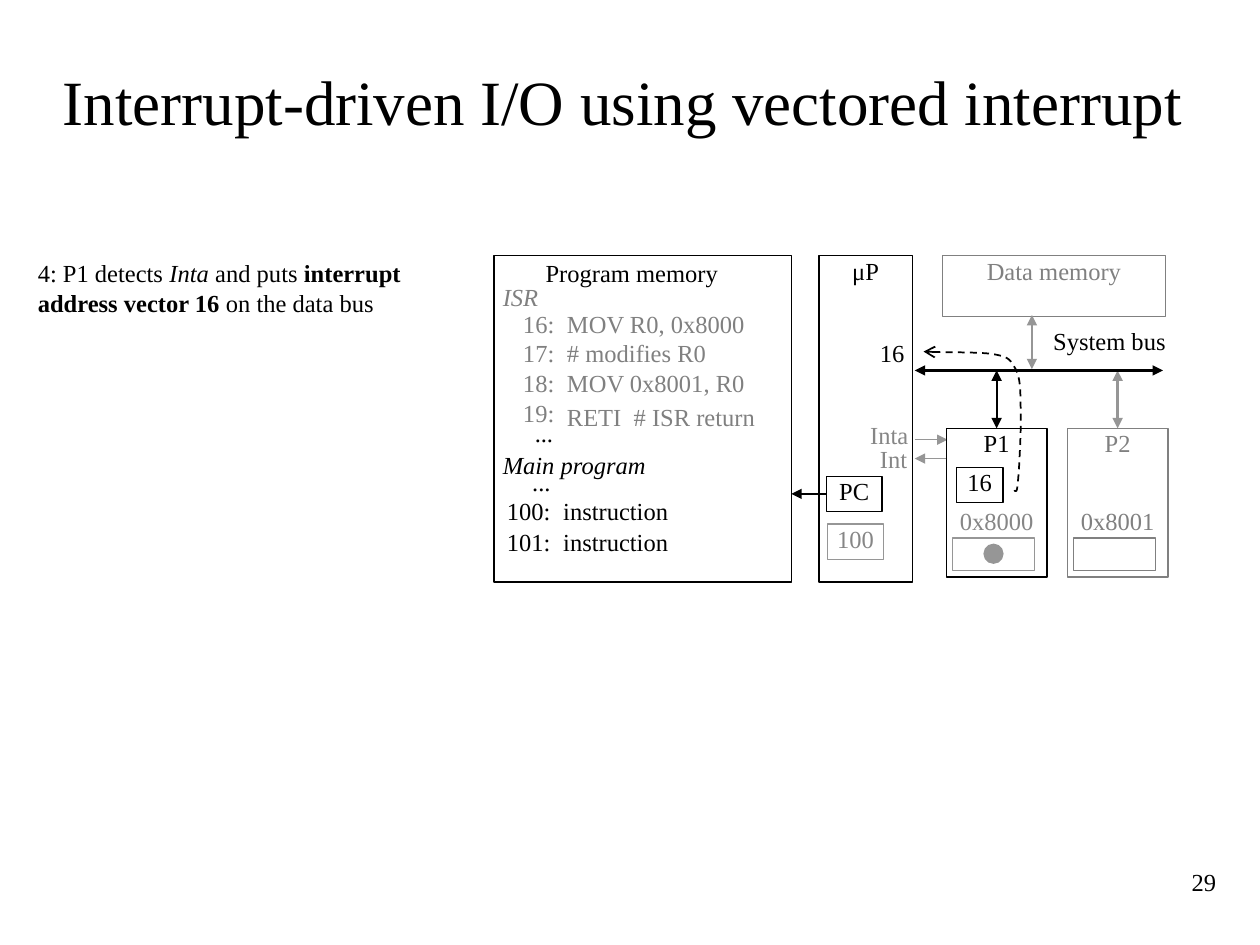
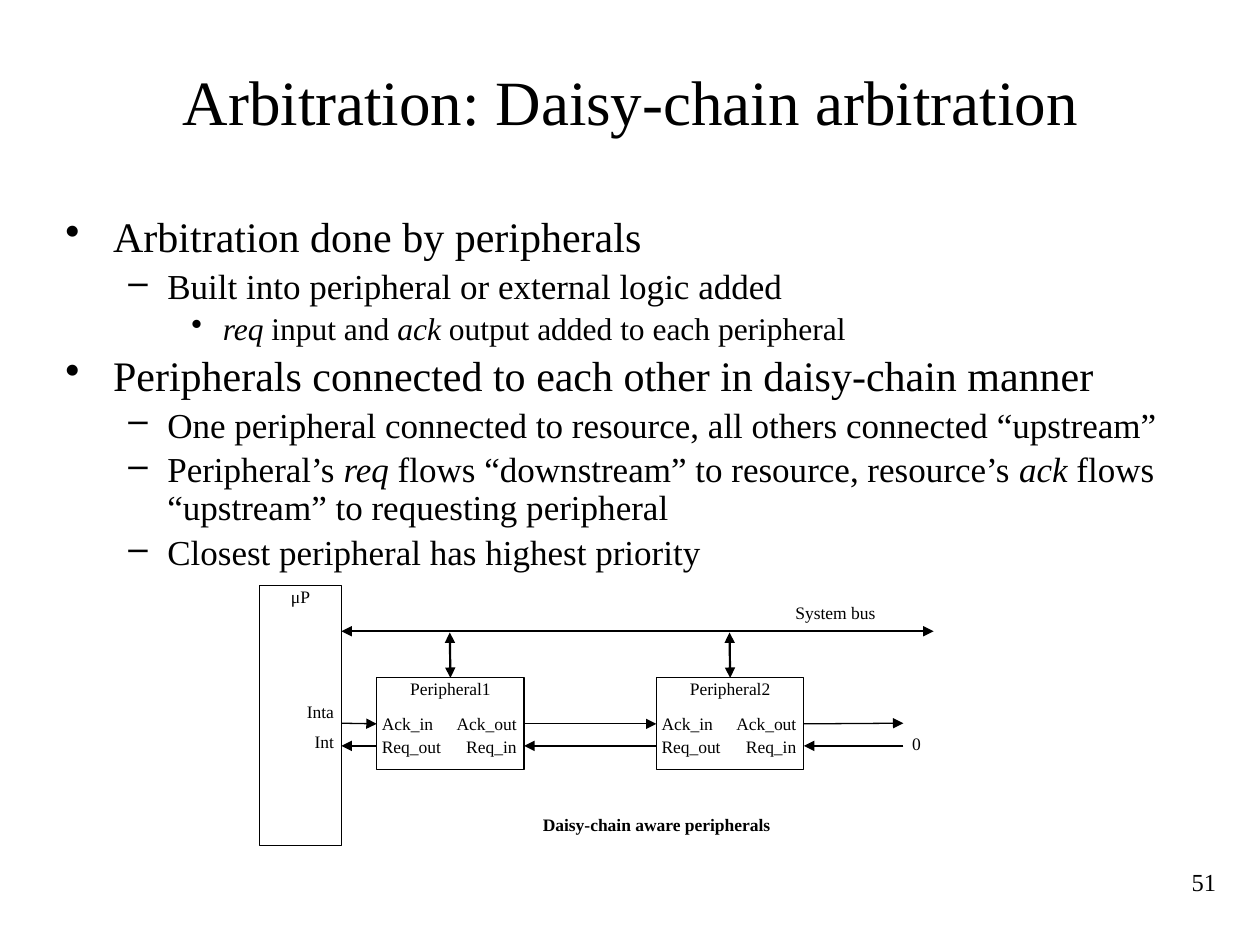
from pptx import Presentation
from pptx.dml.color import RGBColor
from pptx.enum.dml import MSO_LINE_DASH_STYLE as Dash
from pptx.enum.shapes import MSO_CONNECTOR as Link, MSO_SHAPE as Preset
from pptx.enum.text import MSO_ANCHOR as Anchor, PP_ALIGN as Align
from pptx.oxml.ns import qn
from pptx.util import Inches, Pt
from lxml.etree import SubElement

FONT = "Times New Roman"
BLACK = RGBColor(0x00, 0x00, 0x00)
WHITE = RGBColor(0xFF, 0xFF, 0xFF)
DIM = RGBColor(0x80, 0x80, 0x80)
DIM_LABEL = RGBColor(0x86, 0x86, 0x86)
DIM_LINE = RGBColor(0x96, 0x96, 0x96)
LEFT, CENTER, RIGHT = Align.LEFT, Align.CENTER, Align.RIGHT
TOP_SIDE, LEFT_SIDE, RIGHT_SIDE = 0, 1, 3
THIN, THICK = 0.75, 1.25

# Bullet, left margin, hanging indent and text size of each outline level
LEVELS = [("•", 0.38, 0.38, 24), ("–", 0.81, 0.31, 20), ("•", 1.25, 0.25, 18)]


# ---- Shared helpers ----
def add_runs(paragraph, content, size, color):
    """Content is a string or a list of (text, style), style being '', 'b' or 'i'."""
    pieces = [(content, "")] if isinstance(content, str) else content
    for text, style in pieces:
        run = paragraph.add_run()
        run.text = text
        run.font.name, run.font.size = FONT, Pt(size)
        run.font.color.rgb = color
        run.font.bold, run.font.italic = style == "b", style == "i"


def prepare_frame(frame, inset=(0, 0), anchor=Anchor.TOP):
    frame.word_wrap = True
    frame.vertical_anchor = anchor
    frame.margin_left = frame.margin_right = Inches(inset[0])
    frame.margin_top = frame.margin_bottom = Inches(inset[1])


def write(slide, content, x, y, w, h, size=14, color=BLACK, align=LEFT,
          inset=(0, 0), anchor=Anchor.TOP):
    frame = slide.shapes.add_textbox(Inches(x), Inches(y), Inches(w), Inches(h)).text_frame
    prepare_frame(frame, inset, anchor)
    frame.paragraphs[0].alignment = align
    add_runs(frame.paragraphs[0], content, size, color)


def add_box(slide, x, y, w, h, label="", size=14, color=BLACK, edge=None,
            fill=WHITE, preset=Preset.RECTANGLE):
    box = slide.shapes.add_shape(preset, Inches(x), Inches(y), Inches(w), Inches(h))
    box.shadow.inherit = False
    box.fill.solid()
    box.fill.fore_color.rgb = fill
    box.line.color.rgb = edge or color
    box.line.width = Pt(THIN)
    if label:
        prepare_frame(box.text_frame)
        box.text_frame.paragraphs[0].alignment = CENTER
        add_runs(box.text_frame.paragraphs[0], label, size, color)
    return box


def add_heads(shape, tail="triangle", head=None):
    line = shape.element.spPr.find(qn("a:ln"))
    for tag, kind in (("a:headEnd", head), ("a:tailEnd", tail)):
        if kind:
            SubElement(line, qn(tag)).set("type", kind)


def add_arrow(slide, start, end, color=BLACK, width=THIN, both=False,
              begin_at=None, end_at=None):
    """begin_at and end_at are (box, side) pairs to join."""
    arrow = slide.shapes.add_connector(Link.STRAIGHT, *map(Inches, (*start, *end)))
    arrow.line.color.rgb = color
    arrow.line.width = Pt(width)
    add_heads(arrow, head="triangle" if both else None)
    SubElement(arrow.element.spPr, qn("a:effectLst"))
    if begin_at:
        arrow.begin_connect(*begin_at)
    if end_at:
        arrow.end_connect(*end_at)


def start_slide(deck, title, number):
    slide = deck.slides.add_slide(deck.slide_layouts[6])
    write(slide, title, 0.42, 0.17, 9.17, 1.25, size=36, align=CENTER,
          inset=(0, 0.05), anchor=Anchor.MIDDLE)
    write(slide, number, 8.75, 6.83, 1, 0.5, align=RIGHT, inset=(0.1, 0.05))
    return slide


# ---- Vectored interrupt ----
def draw_program_memory(slide, x, y):
    add_box(slide, x, y, 2.36, 2.59)
    write(slide, "Program memory", x + 0.41, y + 0.02, 1.61, 0.33)
    write(slide, [("ISR", "i")], x + 0.07, y + 0.21, 0.51, 0.34, color=DIM)
    write(slide, [("Main program", "i")], x + 0.07, y + 1.54, 1.38, 0.41)

    routine = [("16:", "MOV R0, 0x8000", 0.42, 0.42), ("17:", "# modifies R0", 0.65, 0.65),
               ("18:", "MOV 0x8001, R0", 0.89, 0.89), ("19:", "RETI  # ISR return", 1.13, 1.16)]
    for address, code, address_y, code_y in routine:
        write(slide, address, x - 0.02, y + address_y, 0.5, 0.25, color=DIM, align=RIGHT)
        write(slide, code, x + 0.58, y + code_y, 1.8, 0.25, color=DIM)
    for address, dy in (("100:", 1.91), ("101:", 2.15)):
        write(slide, address, x - 0.05, y + dy, 0.5, 0.25, align=RIGHT)
        write(slide, "instruction", x + 0.55, y + dy, 1.05, 0.25)
    for right, dy in ((0.47, 1.29), (0.45, 1.68)):
        write(slide, "...", x + right - 0.3, y + dy, 0.3, 0.25, align=RIGHT)


def draw_processor(slide, x, y):
    add_box(slide, x, y, 0.74, 2.59, "μP")
    counter = add_box(slide, x + 0.06, y + 1.75, 0.44, 0.28, "PC")
    add_box(slide, x + 0.07, y + 2.13, 0.44, 0.28, "100", color=DIM_LABEL, edge=DIM_LINE)
    add_arrow(slide, (x + 0.06, y + 1.89), (x - 0.22, y + 1.89), width=THICK,
              begin_at=(counter, LEFT_SIDE))
    write(slide, "16", x + 0.43, y + 0.65, 0.3, 0.28, align=CENTER)
    for signal, right, dy in (("Inta", 0.71, 1.3), ("Int", 0.7, 1.49)):
        write(slide, signal, x + right - 0.4, y + dy, 0.4, 0.32, color=DIM_LABEL, align=RIGHT)
    add_arrow(slide, (x + 0.76, y + 1.46), (x + 1.02, y + 1.46), DIM_LINE)
    add_arrow(slide, (x + 1.01, y + 1.61), (x + 0.76, y + 1.61), DIM_LINE)


def draw_peripheral(slide, x, y, name, address, color, address_color, register_edge, bus_color):
    """A peripheral with its register, hanging from the bus above it."""
    peripheral = add_box(slide, x, y, 0.8, 1.18, name, color=color)
    write(slide, address, x + 0.06, y + 0.62, 0.68, 0.26, color=address_color, align=CENTER)
    add_box(slide, x + 0.05, y + 0.87, 0.65, 0.26, edge=register_edge)
    add_arrow(slide, (x + 0.4, y - 0.46), (x + 0.4, y), bus_color, THICK, both=True,
              end_at=(peripheral, TOP_SIDE))


def draw_bus_and_devices(slide, x, y):
    bus_y = y + 0.91
    add_box(slide, x + 0.22, y, 1.77, 0.48, "Data memory", color=DIM)
    add_arrow(slide, (x + 0.93, y + 0.47), (x + 0.93, bus_y - 0.01), DIM_LINE, THICK, both=True)
    draw_peripheral(slide, x + 0.25, y + 1.37, "P1", "0x8000", BLACK, DIM_LABEL, DIM_LINE, BLACK)
    draw_peripheral(slide, x + 1.21, y + 1.37, "P2", "0x8001", DIM, DIM, DIM, DIM_LINE)
    add_box(slide, x + 0.33, y + 1.68, 0.37, 0.28, "16")
    add_box(slide, x + 0.55, y + 2.29, 0.15, 0.15, edge=DIM_LINE, fill=DIM_LINE,
            preset=Preset.OVAL)
    add_arrow(slide, (x, bus_y), (x + 1.97, bus_y), width=THICK, both=True)
    write(slide, "System bus", x + 1.02, y + 0.56, 1.05, 0.32, align=CENTER)


def draw_vector_path(slide, x, y):
    """Dashed curve that carries the vector from P1 to the processor."""
    start = (0.79, 1.87)
    curves = [((0.8, 1.85), (0.81, 1.91), (0.82, 1.79)),
              ((0.83, 1.68), (0.85, 1.32), (0.84, 1.17)),
              ((0.84, 1.02), (0.83, 0.94), (0.79, 0.88)),
              ((0.75, 0.81), (0.73, 0.8), (0.62, 0.78)),
              ((0.5, 0.76), (0.19, 0.77), (0.07, 0.76))]
    steps = 8
    points = [start]
    for a, b, c in curves:
        origin = points[-1]
        for t in (step / steps for step in range(1, steps + 1)):
            u = 1 - t
            points.append(tuple(u**3 * p + 3 * u * u * t * q + 3 * u * t * t * r + t**3 * s
                                for p, q, r, s in zip(origin, a, b, c)))
    placed = [(Inches(x + px), Inches(y + py)) for px, py in points]
    builder = slide.shapes.build_freeform(*placed[0])
    builder.add_line_segments(placed[1:], close=False)
    path = builder.convert_to_shape()
    path.shadow.inherit = False
    path.fill.background()
    path.line.color.rgb = BLACK
    path.line.width = Pt(1)
    path.line.dash_style = Dash.DASH
    add_heads(path, tail="arrow")


def build_vectored_interrupt(deck):
    slide = start_slide(deck, "Interrupt-driven I/O using vectored interrupt ", "29")
    step = [("4: P1 detects ", ""), ("Inta ", "i"), ("and puts ", ""),
            ("interrupt address vector 16", "b"), (" on the data bus", "")]
    write(slide, step, 0.3, 2.05, 3.4, 0.47)
    top = 2.03
    draw_program_memory(slide, 3.92, top)
    draw_processor(slide, 6.5, top)
    draw_bus_and_devices(slide, 7.26, top)
    draw_vector_path(slide, 7.26, top)


# ---- Daisy-chain arbitration ----
def write_outline(slide, x, y, w, h, items):
    frame = slide.shapes.add_textbox(Inches(x), Inches(y), Inches(w), Inches(h)).text_frame
    prepare_frame(frame, inset=(0.1, 0.05))
    for index, (level, content) in enumerate(items):
        bullet, margin, hanging, size = LEVELS[level]
        item = frame.add_paragraph() if index else frame.paragraphs[0]
        item.level = level
        item.line_spacing = 0.9
        item.space_before = Pt(0.2 * size if index else 0)
        properties = item._p.get_or_add_pPr()
        properties.set("marL", str(Inches(margin)))
        properties.set("indent", str(-Inches(hanging)))
        SubElement(properties, qn("a:buChar")).set("char", bullet)
        add_runs(item, content, size, BLACK)


def draw_chained_peripheral(slide, x, y, name):
    peripheral = add_box(slide, x, y, 1.17, 0.73, name, size=10)
    for row, (inner, outer) in enumerate((("Ack_in", "Ack_out"), ("Req_out", "Req_in"))):
        row_y = y + 0.28 + 0.18 * row
        write(slide, inner, x + 0.04, row_y, 0.52, 0.18, size=10)
        write(slide, outer, x + 0.55, row_y, 0.56, 0.18, size=10, align=RIGHT)
    add_arrow(slide, (x + 0.58, y - 0.36), (x + 0.58, y), width=THICK, both=True,
              end_at=(peripheral, TOP_SIDE))
    return peripheral


def draw_daisy_chain(slide, x, y):
    add_box(slide, x, y, 0.65, 2.06, "μP", size=10)
    for signal, dy in (("Inta", 0.91), ("Int", 1.15)):
        write(slide, signal, x + 0.26, y + dy, 0.33, 0.18, size=10, align=RIGHT)
    add_arrow(slide, (x + 0.65, y + 0.36), (x + 5.35, y + 0.36), width=THICK, both=True)
    write(slide, "System bus", x + 4.01, y + 0.13, 1.12, 0.18, size=10, align=CENTER)

    first = draw_chained_peripheral(slide, x + 0.93, y + 0.73, "Peripheral1")
    second = draw_chained_peripheral(slide, x + 3.15, y + 0.73, "Peripheral2")

    # Acknowledge runs upstream, request runs back downstream
    ack_y, req_y = y + 1.09, y + 1.27
    hops = [(0.65, 0.93, None, first), (2.1, 3.15, first, second), (4.32, 5.11, second, None)]
    for near, far, source, target in hops:
        add_arrow(slide, (x + near, ack_y), (x + far, ack_y),
                  begin_at=source and (source, RIGHT_SIDE),
                  end_at=target and (target, LEFT_SIDE))
        add_arrow(slide, (x + far, req_y), (x + near, req_y))
    write(slide, "0", x + 5.18, y + 1.17, 0.14, 0.18, size=10)
    write(slide, [("Daisy-chain aware peripherals", "b")], x + 1.66, y + 1.81, 2.98, 0.24,
          size=10, align=CENTER)


def build_daisy_chain(deck):
    slide = start_slide(deck, "Arbitration: Daisy-chain arbitration", "51")
    write_outline(slide, 0.42, 1.67, 9.17, 2.67, [
        (0, "Arbitration done by peripherals"),
        (1, "Built into peripheral or external logic added"),
        (2, [("req", "i"), (" input and ", ""), ("ack", "i"),
             (" output added to each peripheral", "")]),
        (0, "Peripherals connected to each other in daisy-chain manner"),
        (1, "One peripheral connected to resource, all others connected “upstream”"),
        (1, [("Peripheral’s ", ""), ("req", "i"),
             (" flows “downstream” to resource, resource’s ", ""), ("ack", "i"),
             (" flows “upstream” to requesting peripheral", "")]),
        (1, "Closest peripheral has highest priority"),
    ])
    draw_daisy_chain(slide, 2.06, 4.65)


def main():
    deck = Presentation()
    deck.slide_width, deck.slide_height = Inches(10), Inches(7.5)
    build_vectored_interrupt(deck)
    build_daisy_chain(deck)
    deck.save("out.pptx")


if __name__ == "__main__":
    main()
